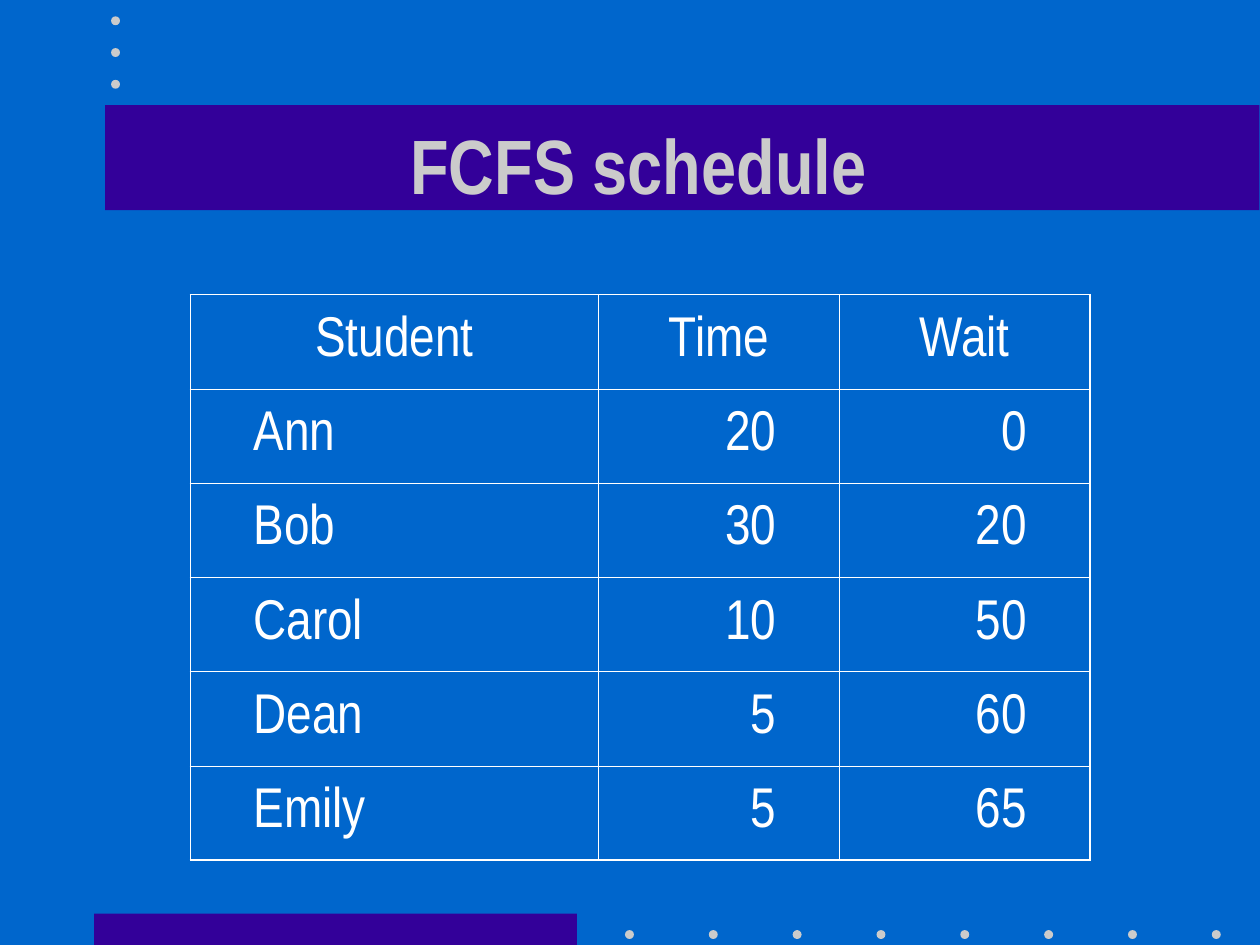
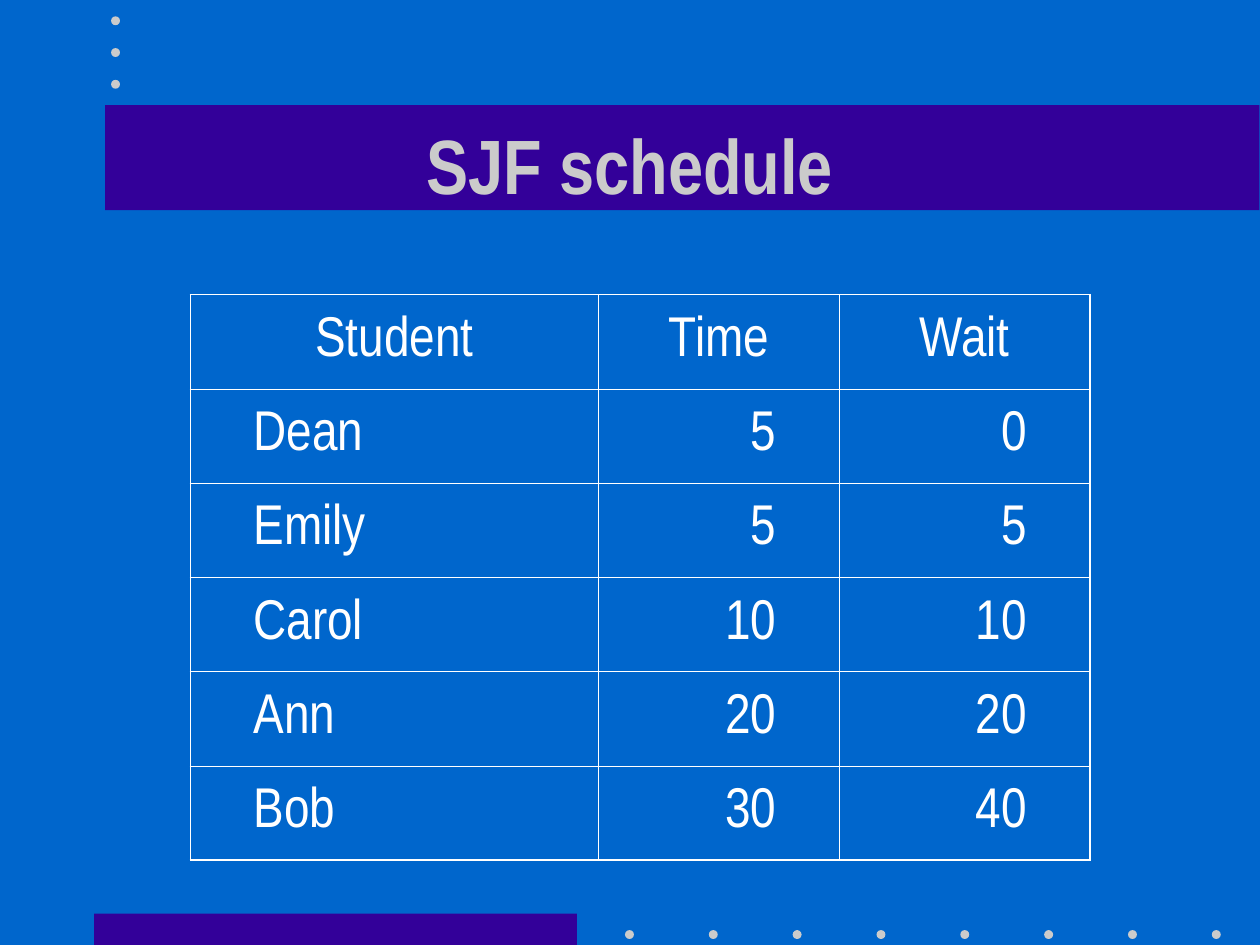
from lxml import etree
from pptx import Presentation
from pptx.dml.color import RGBColor
from pptx.enum import shapes, text
from pptx.oxml.ns import qn
from pptx.util import Cm, Pt

HEADINGS = ("Student", "Time", "Wait")
SCHEDULES = [
    (" FCFS schedule",
     [("Ann", 20, 0), ("Bob", 30, 20), ("Carol", 10, 50), ("Dean", 5, 60), ("Emily", 5, 65)]),
    ("SJF schedule",
     [("Dean", 5, 0), ("Emily", 5, 5), ("Carol", 10, 10), ("Ann", 20, 20), ("Bob", 30, 40)]),
]

BLUE = RGBColor(0x00, 0x66, 0xCC)
PURPLE = RGBColor(0x33, 0x00, 0x99)
SILVER = RGBColor(0xCB, 0xCB, 0xCB)
WHITE = RGBColor(0xFF, 0xFF, 0xFF)

FONT = "Arial Narrow"
TITLE_FONT = {"name": FONT, "size": Pt(44), "bold": True}
CELL_FONT = {"name": FONT, "size": Pt(32), "bold": False}
TITLE_BOX = {"left": Cm(1.9), "top": Cm(1.7), "width": Cm(21.6), "height": Cm(3.18)}

# left, top, width, height in cm
BANDS = [(1.9, 18.42, 9.73, 0.64), (2.12, 2.12, 23.27, 2.12)]
DOT = 0.18
FOOTER_DOTS = [(12.6 + 1.69 * i, 18.75) for i in range(8)]
CORNER_DOTS = [(2.24, 0.33 + 0.64 * i) for i in range(3)]

TABLE_LEFT, TABLE_TOP = 3.84, 5.94
COLUMN_WIDTHS = (8.23, 4.85, 5.05)
ROW_HEIGHT = 1.9
INNER_LINE, OUTER_LINE = Pt(0.45), Pt(1.08)

# alignment, left margin, right margin in cm
HEADING_LAYOUT = (text.PP_ALIGN.CENTER, 0.25, 0.25)
NAME_LAYOUT = (text.PP_ALIGN.LEFT, 1.27, 0.76)
NUMBER_LAYOUT = (text.PP_ALIGN.RIGHT, 0.76, 1.27)


def apply(target, values):
    for attribute, value in values.items():
        setattr(target, attribute, value)


def style_font(font, values, color):
    apply(font, values)
    font.color.rgb = color


def add_filled(slide, kind, box, color):
    shape = slide.shapes.add_shape(kind, *map(Cm, box))
    shape.shadow.inherit = False
    shape.fill.solid()
    shape.fill.fore_color.rgb = color
    shape.line.fill.background()


def add_decoration(slide):
    for band in BANDS:
        add_filled(slide, shapes.MSO_SHAPE.RECTANGLE, band, PURPLE)
    for left, top in FOOTER_DOTS + CORNER_DOTS:
        add_filled(slide, shapes.MSO_SHAPE.OVAL, (left, top, DOT, DOT), SILVER)


def set_title(slide, wording):
    """Fill the title placeholder and bring it in front of the band."""
    title = slide.shapes.title
    apply(title, TITLE_BOX)
    frame = title.text_frame
    frame.text = wording
    apply(frame, {"auto_size": text.MSO_AUTO_SIZE.NONE,
                  "vertical_anchor": text.MSO_ANCHOR.MIDDLE})
    frame.paragraphs[0].alignment = text.PP_ALIGN.CENTER
    style_font(frame.paragraphs[0].runs[0].font, TITLE_FONT, SILVER)
    title.element.getparent().append(title.element)


def set_borders(cell, outer_sides):
    properties = cell._tc.get_or_add_tcPr()
    for side in "LRTB":
        width = OUTER_LINE if side in outer_sides else INNER_LINE
        line = etree.SubElement(properties, qn(f"a:ln{side}"), w=str(int(width)))
        fill = etree.SubElement(line, qn("a:solidFill"))
        etree.SubElement(fill, qn("a:srgbClr"), val=str(WHITE))


def set_cell(cell, value, layout, outer_sides):
    alignment, left, right = layout
    cell.text = str(value)
    apply(cell, {"margin_left": Cm(left), "margin_right": Cm(right),
                 "vertical_anchor": text.MSO_ANCHOR.MIDDLE})
    paragraph = cell.text_frame.paragraphs[0]
    apply(paragraph, {"alignment": alignment, "space_before": Pt(8)})
    style_font(paragraph.runs[0].font, CELL_FONT, WHITE)
    set_borders(cell, outer_sides)
    cell.fill.background()


def add_schedule(slide, students):
    rows = [HEADINGS, *students]
    last_row, last_column = len(rows) - 1, len(HEADINGS) - 1
    schedule = slide.shapes.add_table(
        len(rows), len(HEADINGS), Cm(TABLE_LEFT), Cm(TABLE_TOP),
        Cm(sum(COLUMN_WIDTHS)), Cm(ROW_HEIGHT * len(rows))).table
    apply(schedule, {"first_row": False, "horz_banding": False})
    for column, width in zip(schedule.columns, COLUMN_WIDTHS):
        column.width = Cm(width)
    for r, row in enumerate(rows):
        schedule.rows[r].height = Cm(ROW_HEIGHT)
        for c, value in enumerate(row):
            layout = HEADING_LAYOUT if r == 0 else NAME_LAYOUT if c == 0 else NUMBER_LAYOUT
            edges = {"L": c == 0, "R": c == last_column, "T": r == 0, "B": r == last_row}
            set_cell(schedule.cell(r, c), value, layout,
                     [side for side, is_outer in edges.items() if is_outer])


def main():
    deck = Presentation()
    apply(deck, {"slide_width": Cm(25.4), "slide_height": Cm(19.05)})
    background = deck.slide_master.background.fill
    background.solid()
    background.fore_color.rgb = BLUE
    title_only = deck.slide_layouts.get_by_name("Title Only")
    for wording, students in SCHEDULES:
        slide = deck.slides.add_slide(title_only)
        add_decoration(slide)
        set_title(slide, wording)
        add_schedule(slide, students)
    deck.save("out.pptx")


if __name__ == "__main__":
    main()
